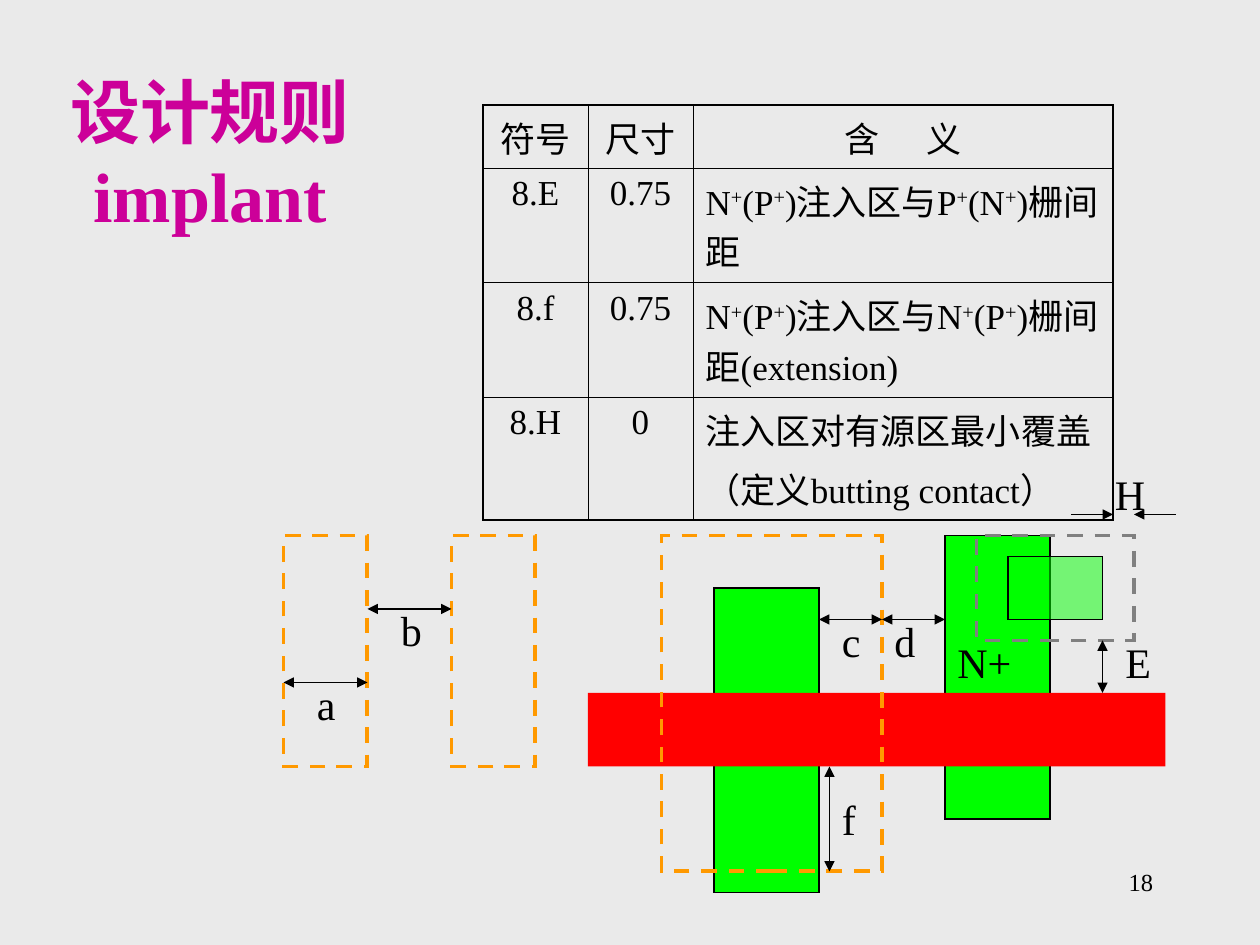
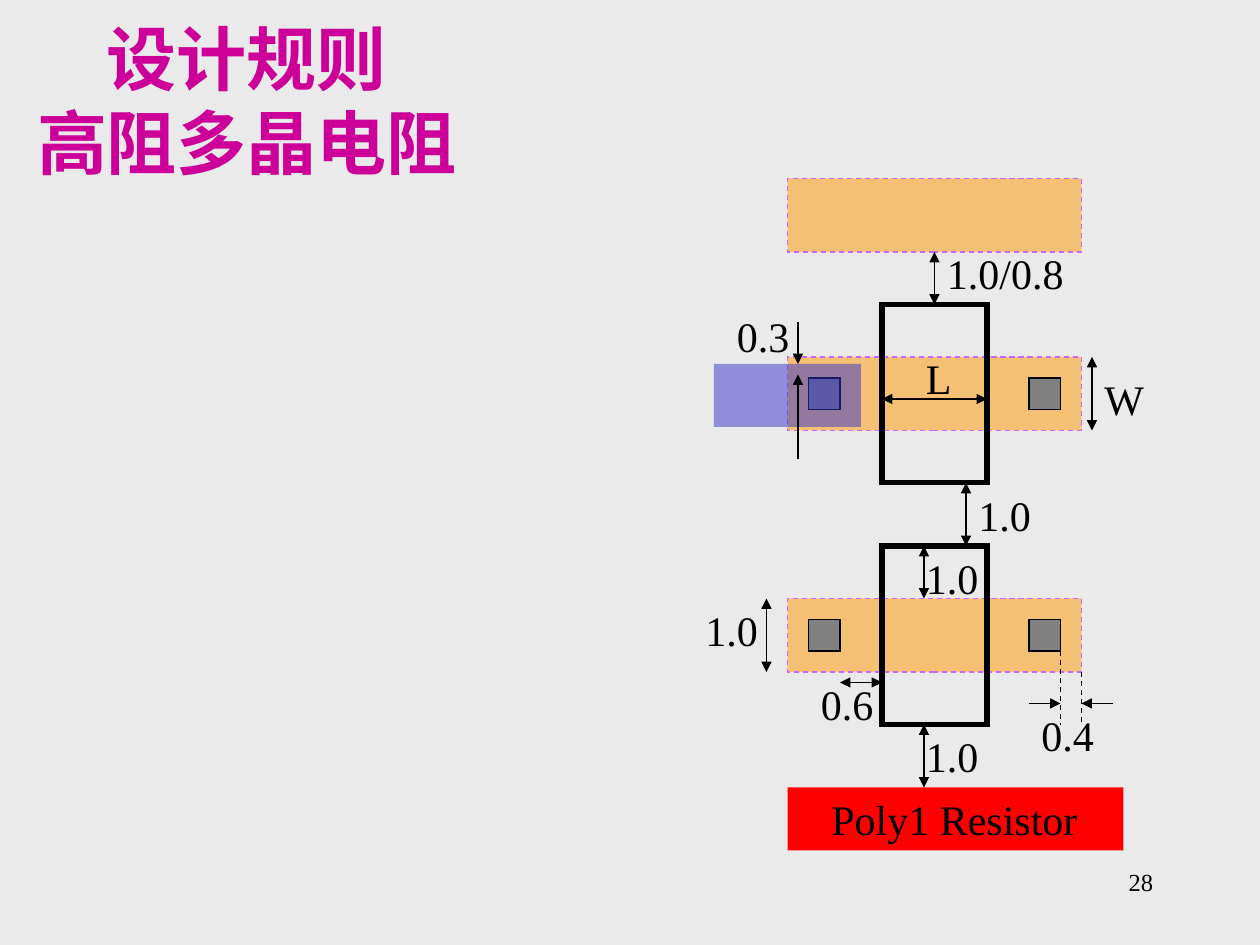
from lxml.etree import SubElement as Sub
from pptx import Presentation as Deck
from pptx.dml.color import RGBColor as Rgb
from pptx.enum.dml import MSO_LINE_DASH_STYLE as Dash
from pptx.enum.shapes import MSO_CONNECTOR as Link, MSO_SHAPE as Form
from pptx.enum.text import MSO_ANCHOR as Anchor, PP_ALIGN as Align
from pptx.oxml.ns import qn
from pptx.util import Cm, Pt

FACE = "Times New Roman"
THEME = {
    "back": "EAEAEA",
    "ink": "000000",
    "rose": "CC0099",
    "edge": 1.08,
    "hair": 0.45,
    "line": 0.75,
    "gap": 5,
    "type": {
        "title": {"name": FACE, "size": Pt(40), "bold": True},
        "label": {"name": FACE, "size": Pt(24)},
        "cell": {"name": FACE, "size": Pt(20)},
        "page": {"name": FACE, "size": Pt(14)},
    },
    "box": {
        "active": {"fill": "00FF00", "line": "000000", "width": 0.75},
        "pale": {"fill": "00FF00", "alpha": 50, "line": "000000", "width": 0.75},
        "poly": {"fill": "FF0000"},
        "metal": {"fill": "3333CC", "alpha": 50},
        "implant": {"line": "FF9900", "width": 2.25, "dash": True},
        "well": {"line": "808080", "width": 2.25, "dash": True},
        "strip": {"fill": "FF9900", "alpha": 50, "line": "CC66FF",
                  "width": 0.75, "dash": True},
        "pad": {"fill": "808080", "line": "000000", "width": 0.75},
        "frame": {"line": "000000", "width": 3},
    },
}
MARKS = {"+": ("baseline", "30000"), " ": ("spc", "2250")}
ENDS = {"both": ("headEnd", "tailEnd"), "one": ("tailEnd",), "dash": ()}
UNIT = 2.54 / 12

RULES = [
    ("符号", "尺寸", "含| |义"),
    ("8.E", "0.75", "N|+|(P|+|)注入区与P|+|(N|+|)栅间距"),
    ("8.f", "0.75", "N|+|(P|+|)注入区与N|+|(P|+|)栅间距(extension)"),
    ("8.H", "0", "注入区对有源区最小覆盖\n（定义butting contact）"),
]
WIDE = (10, 10, 40)
HIGH = (1.27, 2.31, 2.31, 2.47)

PAGES = [
    {
        "title": "设计规则|\v|implant",
        "spot": (1, 9, 38, 11),
        "page": "18",
        "rules": RULES,
        "boxes": [
            ("active", 90, 51, 10, 27),
            ("active", 68, 56, 10, 29),
            ("poly", 56, 66, 55, 7),
            ("implant", 63, 51, 21, 32),
            *[("implant", x, 51, 8, 22) for x in (27, 43)],
            ("pale", 96, 53, 9, 6),
            ("well", 93, 51, 15, 10),
        ],
        "lines": [
            ("both", 27, 65, 35, 65),
            ("both", 35, 58, 43, 58),
            ("both", 78, 59, 84, 59),
            ("both", 84, 59, 90, 59),
            ("both", 79, 73, 79, 83),
            ("both", 105, 61, 105, 66),
            ("one", 102, 49, 106, 49),
            ("one", 112, 49, 108, 49),
        ],
        "labels": [
            ("N+", 90, 60, 8),
            ("a", 29, 64, 5),
            ("b", 37, 57, 5),
            ("c", 79, 58, 5),
            ("d", 84, 58, 5),
            ("f", 79, 75, 5),
            ("E", 106, 60, 5),
            ("H", 105, 44, 5),
        ],
    },
    {
        "title": "设计规则|\v|高阻多晶电阻",
        "spot": (1, 4, 45, 11),
        "page": "28",
        "rules": [],
        "boxes": [
            *[("strip", 75, y, 28, 7) for y in (17, 34, 57)],
            *[("pad", x, y, 3, 3) for y in (36, 59) for x in (77, 98)],
            *[("frame", 84, y, 10, 17) for y in (29, 52)],
            ("poly", 75, 75, 32, 6),
            ("metal", 68, 34.67, 14, 6),
        ],
        "lines": [
            ("both", 89, 24, 89, 29),
            ("both", 84, 38, 94, 38),
            ("both", 104, 34, 104, 41),
            ("both", 92, 52, 92, 46),
            ("both", 88, 57, 88, 52),
            ("both", 73, 57, 73, 64),
            ("both", 80, 65, 84, 65),
            ("both", 88, 69, 88, 75),
            ("dash", 101, 62, 101, 69),
            ("dash", 103, 64, 103, 69),
            ("one", 98, 67, 101, 67),
            ("one", 106, 67, 103, 67),
            ("one", 76, 30.67, 76, 34.67),
            ("one", 76, 43.67, 76, 35.67),
        ],
        "labels": [
            ("1.0/0.8", 89, 23, 14),
            ("0.3", 69, 29, 8),
            ("L", 87, 33, 5),
            ("W", 104, 35, 7),
            ("1.0", 92, 46, 9),
            ("1.0", 87, 52, 9),
            ("1.0", 66, 57, 8),
            ("0.6", 77, 64, 9),
            ("0.4", 98, 67, 9),
            ("1.0", 87, 69, 8),
            ("Poly1 Resistor", 78, 75, 27),
        ],
    },
]


def grid(*nums):
    return [Cm(num * UNIT) for num in nums]


def write(frame, words, kind, align, ink=THEME["ink"]):
    frame.word_wrap = True
    for row, text in enumerate(words.split("\n")):
        para = frame.add_paragraph() if row else frame.paragraphs[0]
        para.alignment = align
        if row:
            para.space_before = Pt(THEME["gap"])
        for bit in text.split("|"):
            if bit == "\v":
                para.add_line_break()
                continue
            run = para.add_run()
            run.text = bit
            for key, val in THEME["type"][kind].items():
                setattr(run.font, key, val)
            run.font.color.rgb = Rgb.from_string(ink)
            if bit in MARKS:
                run._r.get_or_add_rPr().set(*MARKS[bit])


deck = Deck()
deck.slide_width, deck.slide_height = grid(120, 90)
back = deck.slide_master.background.fill
back.solid()
back.fore_color.rgb = Rgb.from_string(THEME["back"])

for page in PAGES:
    slide = deck.slides.add_slide(deck.slide_layouts[6])
    items = slide.shapes

    foot = items.add_textbox(*grid(86, 82, 25, 6))
    write(foot.text_frame, page["page"], "page", Align.RIGHT)
    head = items.add_textbox(*grid(*page["spot"]))
    head.text_frame.vertical_anchor = Anchor.MIDDLE
    write(head.text_frame, page["title"], "title", Align.CENTER, THEME["rose"])

    if page["rules"]:
        rows, cols = len(HIGH), len(WIDE)
        spot = *grid(46, 10, sum(WIDE)), Cm(sum(HIGH))
        table = items.add_table(rows, cols, *spot).table
        table.first_row = table.horz_banding = False
        for col, wide in zip(table.columns, grid(*WIDE)):
            col.width = wide
        for row, high in zip(table.rows, HIGH):
            row.height = Cm(high)
        for r, texts in enumerate(page["rules"]):
            for c, text in enumerate(texts):
                cell = table.cell(r, c)
                left = r > 0 and c == cols - 1
                write(cell.text_frame, text, "cell",
                      Align.LEFT if left else Align.CENTER)
                rims = {"lnL": c == 0, "lnR": c == cols - 1,
                        "lnT": r == 0, "lnB": r == rows - 1}
                prop = cell._tc.get_or_add_tcPr()
                for tag, rim in rims.items():
                    wide = Pt(THEME["edge" if rim else "hair"])
                    side = Sub(prop, qn("a:" + tag), w=str(wide))
                    tint = Sub(side, qn("a:solidFill"))
                    Sub(tint, qn("a:srgbClr"), val=THEME["ink"])
                cell.fill.background()

    for kind, *spot in page["boxes"]:
        look = THEME["box"][kind]
        box = items.add_shape(Form.RECTANGLE, *grid(*spot))
        box.shadow.inherit = False
        for part, key in ((box.fill, "fill"), (box.line.fill, "line")):
            if key in look:
                part.solid()
                part.fore_color.rgb = Rgb.from_string(look[key])
            else:
                part.background()
        prop = box._element.spPr
        if "alpha" in look:
            tint = prop.find(qn("a:solidFill"))[0]
            Sub(tint, qn("a:alpha"), val=str(look["alpha"] * 1000))
        if "width" in look:
            box.line.width = Pt(look["width"])
        if "dash" in look:
            box.line.dash_style = Dash.DASH
        Sub(prop.find(qn("a:ln")), qn("a:miter"), lim="800000")

    for kind, *spot in page["lines"]:
        link = items.add_connector(Link.STRAIGHT, *grid(*spot))
        link.line.color.rgb = Rgb.from_string(THEME["ink"])
        link.line.width = Pt(THEME["line"])
        if kind == "dash":
            link.line.dash_style = Dash.DASH
        prop = link._element.spPr
        for end in ENDS[kind]:
            Sub(prop.find(qn("a:ln")), qn("a:" + end), type="triangle")
        Sub(prop, qn("a:effectLst"))

    for text, x, y, wide in page["labels"]:
        note = items.add_textbox(*grid(x, y, wide, 6))
        write(note.text_frame, text, "label", Align.LEFT)

deck.save("out.pptx")
